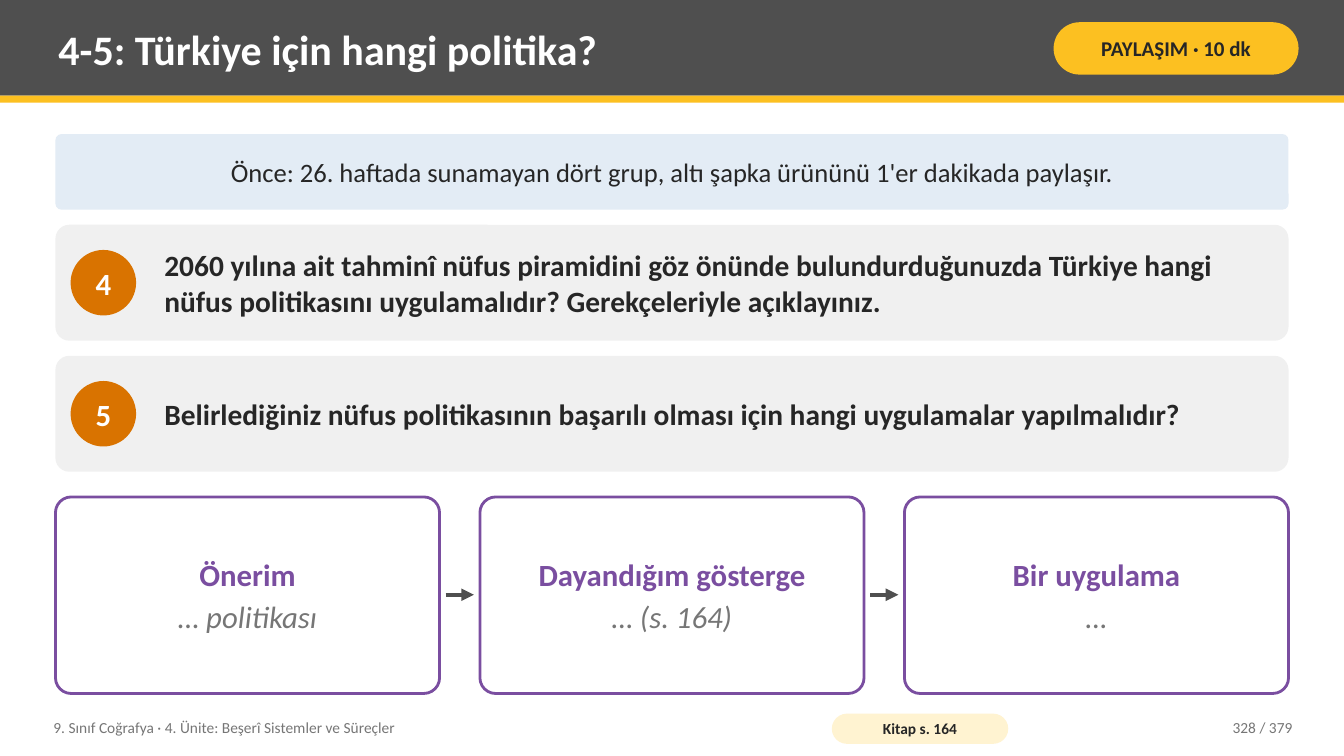
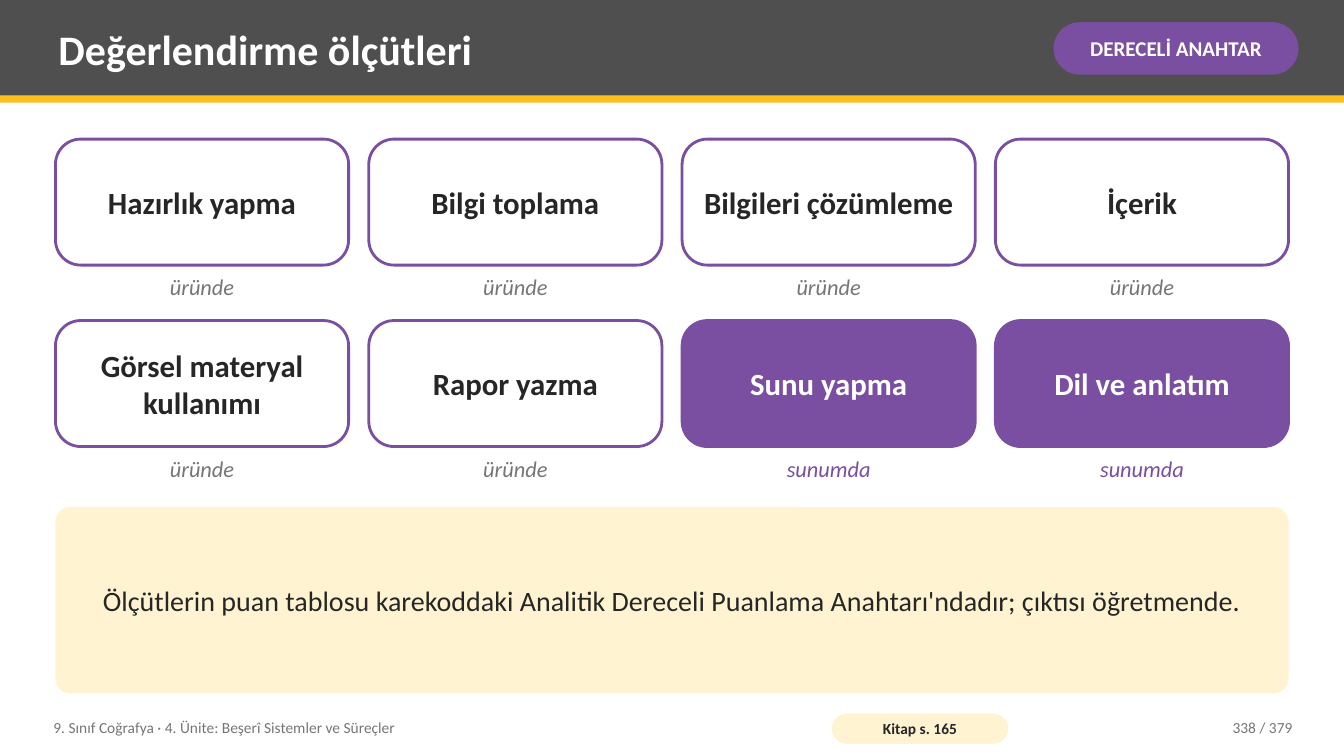
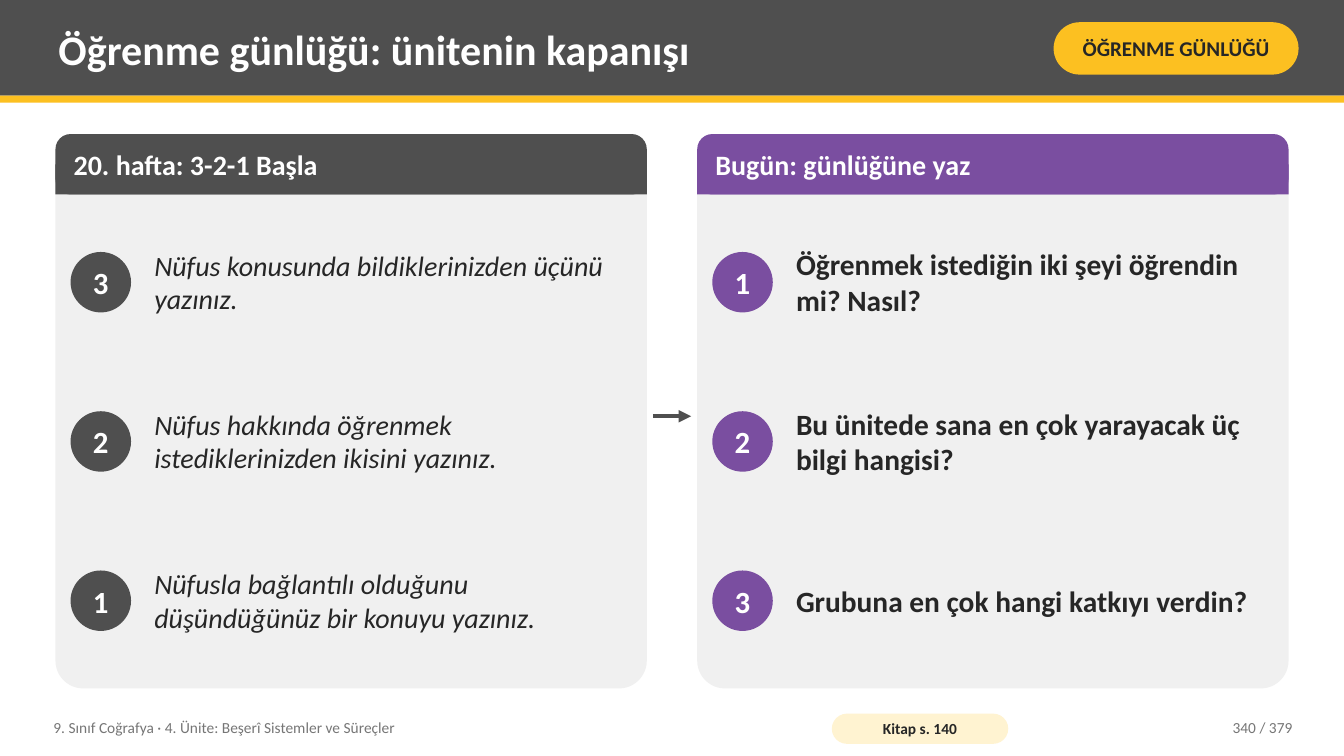
from lxml import etree
from pptx import Presentation
from pptx.dml.color import RGBColor
from pptx.enum.shapes import MSO_CONNECTOR as LINE, MSO_SHAPE as SHAPE
from pptx.enum.text import MSO_ANCHOR as ANCHOR, MSO_AUTO_SIZE as FIT, PP_ALIGN as ALIGN
from pptx.oxml.ns import qn
from pptx.util import Inches, Pt

FONT = "Calibri"
WHITE = RGBColor(0xFF, 0xFF, 0xFF)
INK = RGBColor(0x26, 0x26, 0x26)
DARK = RGBColor(0x4F, 0x4F, 0x4F)
GREY = RGBColor(0x76, 0x76, 0x76)
PALE = RGBColor(0xF0, 0xF0, 0xF0)
GOLD = RGBColor(0xFC, 0xC0, 0x21)
CREAM = RGBColor(0xFF, 0xF3, 0xD1)
SKY = RGBColor(0xE3, 0xEC, 0xF5)
AMBER = RGBColor(0xD9, 0x73, 0x00)
PLUM = RGBColor(0x7A, 0x4E, 0xA0)

WIDE, HIGH = 13.33, 7.5
LEFT, SPAN = 0.55, 12.23
UNIT = "9. Sınıf Coğrafya · 4. Ünite: Beşerî Sistemler ve Süreçler"
PAGES = 379


def style(para, size, color, bold=False, italic=False):
    for run in para.runs:
        font = run.font
        font.name, font.size = FONT, Pt(size)
        font.bold, font.italic = bold, italic
        font.color.rgb = color


def put(shape, text, size, color, bold=False, italic=False, align=ALIGN.CENTER,
        anchor=ANCHOR.MIDDLE, pad=(0.14, 0.08), wrap=True):
    """Fill a shape with text in one style; pad is the side and top inset."""
    frame = shape.text_frame
    frame.text = text
    frame.word_wrap, frame.auto_size = wrap, FIT.NONE
    frame.vertical_anchor = anchor
    frame.margin_left = frame.margin_right = Inches(pad[0])
    frame.margin_top = frame.margin_bottom = Inches(pad[1])
    for para in frame.paragraphs:
        para.alignment = align
        style(para, size, color, bold, italic)
    return frame


def block(slide, kind, box, fill, line=None, round=None):
    shape = slide.shapes.add_shape(kind, *map(Inches, box))
    shape.shadow.inherit = False
    shape.fill.solid()
    shape.fill.fore_color.rgb = fill
    if line is None:
        shape.line.fill.background()
    else:
        shape.line.color.rgb = line
        shape.line.width = Pt(2)
    if round is not None:
        shape.adjustments[0] = round
    return shape


def panel(slide, box, fill, round, line=None):
    return block(slide, SHAPE.ROUNDED_RECTANGLE, box, fill, line, round)


def label(slide, box, text, size, color, align=ALIGN.LEFT, **look):
    shape = slide.shapes.add_textbox(*map(Inches, box))
    put(shape, text, size, color, align=align, pad=(0.08, 0.04), **look)


def badge(slide, x, mid, side, text, fill):
    shape = block(slide, SHAPE.OVAL, (x, mid - side / 2, side, side), fill)
    put(shape, text, 22, WHITE, bold=True, pad=(0, 0), wrap=False)


def arrow(slide, start, end, y):
    line = slide.shapes.add_connector(
        LINE.STRAIGHT, *map(Inches, (start, y, end, y)))
    line.line.color.rgb = DARK
    line.line.width = Pt(3)
    etree.SubElement(line.line._get_or_add_ln(), qn("a:tailEnd"), type="triangle")
    etree.SubElement(line.element.spPr, qn("a:effectLst"))


def split(count, gap):
    """Return the width and the left edges of equal columns."""
    width = (SPAN - gap * (count - 1)) / count
    return width, [LEFT + i * (width + gap) for i in range(count)]


def start(deck, title, tag, fill, color, source, page):
    """Add a slide with its title band, tag and footer."""
    slide = deck.slides.add_slide(deck.slide_layouts[5])
    block(slide, SHAPE.RECTANGLE, (0, 0, WIDE, 0.95), DARK)
    block(slide, SHAPE.RECTANGLE, (0, 0.95, WIDE, 0.07), GOLD)

    head = slide.shapes.title
    head.left, head.top, head.width, head.height = map(
        Inches, (0.5, 0.07, 9.75, 0.82))
    put(head, title, 30, WHITE, bold=True, align=ALIGN.LEFT, pad=(0.08, 0.04))
    head.element.getparent().append(head.element)  # in front of the band

    pill = panel(slide, (10.45, 0.22, 2.43, 0.52), fill, 0.5)
    put(pill, tag, 15, color, bold=True, pad=(0.05, 0.02))
    label(slide, (0.45, 7.04, 7.6, 0.36), UNIT, 11, GREY)
    pill = panel(slide, (8.25, 7.08, 1.75, 0.3), CREAM, 0.5)
    put(pill, source, 11, INK, bold=True, pad=(0.04, 0))
    label(slide, (11.3, 7.04, 1.6, 0.36), f"{page} / {PAGES}", 11, GREY, ALIGN.RIGHT)
    return slide


def policy(deck):
    slide = start(deck, "4-5: Türkiye için hangi politika?", "PAYLAŞIM · 10 dk",
                  GOLD, INK, "Kitap s. 164", 328)
    note = panel(slide, (LEFT, 1.33, SPAN, 0.75), SKY, 0.08)
    put(note, "Önce: 26. haftada sunamayan dört grup, altı şapka ürününü "
        "1'er dakikada paylaşır.", 19, INK)

    asks = [
        ("4", "2060 yılına ait tahminî nüfus piramidini göz önünde bulundurduğunuzda "
              "Türkiye hangi nüfus politikasını uygulamalıdır? Gerekçeleriyle açıklayınız."),
        ("5", "Belirlediğiniz nüfus politikasının başarılı olması için hangi "
              "uygulamalar yapılmalıdır?"),
    ]
    for row, (num, text) in enumerate(asks):
        top = 2.23 + row * 1.3
        panel(slide, (LEFT, top, SPAN, 1.15), PALE, 0.12)
        badge(slide, LEFT + 0.15, top + 0.575, 0.65, num, AMBER)
        label(slide, (LEFT + 1, top + 0.03, SPAN - 1.15, 1.09), text, 21, INK, bold=True)

    gap = 0.4
    width, lefts = split(3, gap)
    cards = ["Önerim\n… politikası", "Dayandığım gösterge\n… (s. 164)", "Bir uygulama\n…"]
    for x, text in zip(lefts, cards):
        card = panel(slide, (x, 4.93, width, 1.95), WHITE, 0.08, PLUM)
        first, hint = put(card, text, 22, PLUM, bold=True).paragraphs
        first.space_after = Pt(4)
        style(hint, 22, GREY, italic=True)
    for x in lefts[1:]:
        arrow(slide, x - gap + 0.06, x - 0.06, 5.9)


def criteria(deck):
    slide = start(deck, "Değerlendirme ölçütleri", "DERECELİ ANAHTAR",
                  PLUM, WHITE, "Kitap s. 165", 338)
    names = ["Hazırlık yapma", "Bilgi toplama", "Bilgileri çözümleme", "İçerik",
             "Görsel materyal kullanımı", "Rapor yazma", "Sunu yapma", "Dil ve anlatım"]
    spoken = names[-2:]
    width, lefts = split(4, 0.2)
    for i, name in enumerate(names):
        x, top = lefts[i % 4], 1.38 + i // 4 * 1.8
        if name in spoken:
            fill, color, place, tint = PLUM, WHITE, "sunumda", PLUM
        else:
            fill, color, place, tint = WHITE, INK, "üründe", GREY
        card = panel(slide, (x, top, width, 1.25), fill, 0.2, PLUM)
        put(card, name, 22, color, bold=True)
        label(slide, (x, top + 1.29, width, 0.42), place, 16, tint, ALIGN.CENTER,
              italic=True, anchor=ANCHOR.TOP)

    note = panel(slide, (LEFT, 5.03, SPAN, 1.85), CREAM, 0.08)
    put(note, "Ölçütlerin puan tablosu karekoddaki Analitik Dereceli Puanlama "
        "Anahtarı'ndadır; çıktısı öğretmende.", 20, INK, pad=(0.22, 0.08))


def column(slide, x, width, head, color, items, size, **look):
    """Draw a headed panel with three numbered prompts."""
    top = 1.33
    panel(slide, (x, top, width, 5.5), PALE, 0.05)
    panel(slide, (x, top, width, 0.6), color, 0.25)
    block(slide, SHAPE.RECTANGLE, (x, top + 0.3, width, 0.3), color)
    label(slide, (x + 0.1, top, width - 0.2, 0.6), head, 20, WHITE, bold=True)
    for row, (num, text) in enumerate(items):
        mid = 2.8 + row * 1.58
        badge(slide, x + 0.15, mid, 0.6, num, color)
        label(slide, (x + 0.9, mid - 0.72, width - 1, 1.43), text, size, INK, **look)


def diary(deck):
    slide = start(deck, "Öğrenme günlüğü: ünitenin kapanışı", "ÖĞRENME GÜNLÜĞÜ",
                  GOLD, INK, "Kitap s. 140", 340)
    width, (then, now) = split(2, 0.5)
    column(slide, then, width, "20. hafta: 3-2-1 Başla", DARK, [
        ("3", "Nüfus konusunda bildiklerinizden üçünü yazınız."),
        ("2", "Nüfus hakkında öğrenmek istediklerinizden ikisini yazınız."),
        ("1", "Nüfusla bağlantılı olduğunu düşündüğünüz bir konuyu yazınız."),
    ], 20, italic=True)
    column(slide, now, width, "Bugün: günlüğüne yaz", PLUM, [
        ("1", "Öğrenmek istediğin iki şeyi öğrendin mi? Nasıl?"),
        ("2", "Bu ünitede sana en çok yarayacak üç bilgi hangisi?"),
        ("3", "Grubuna en çok hangi katkıyı verdin?"),
    ], 21, bold=True)
    arrow(slide, then + width + 0.06, now - 0.06, 4.13)


def main():
    deck = Presentation()
    deck.slide_width, deck.slide_height = Inches(WIDE), Inches(HIGH)
    policy(deck)
    criteria(deck)
    diary(deck)
    deck.save("out.pptx")


if __name__ == "__main__":
    main()
